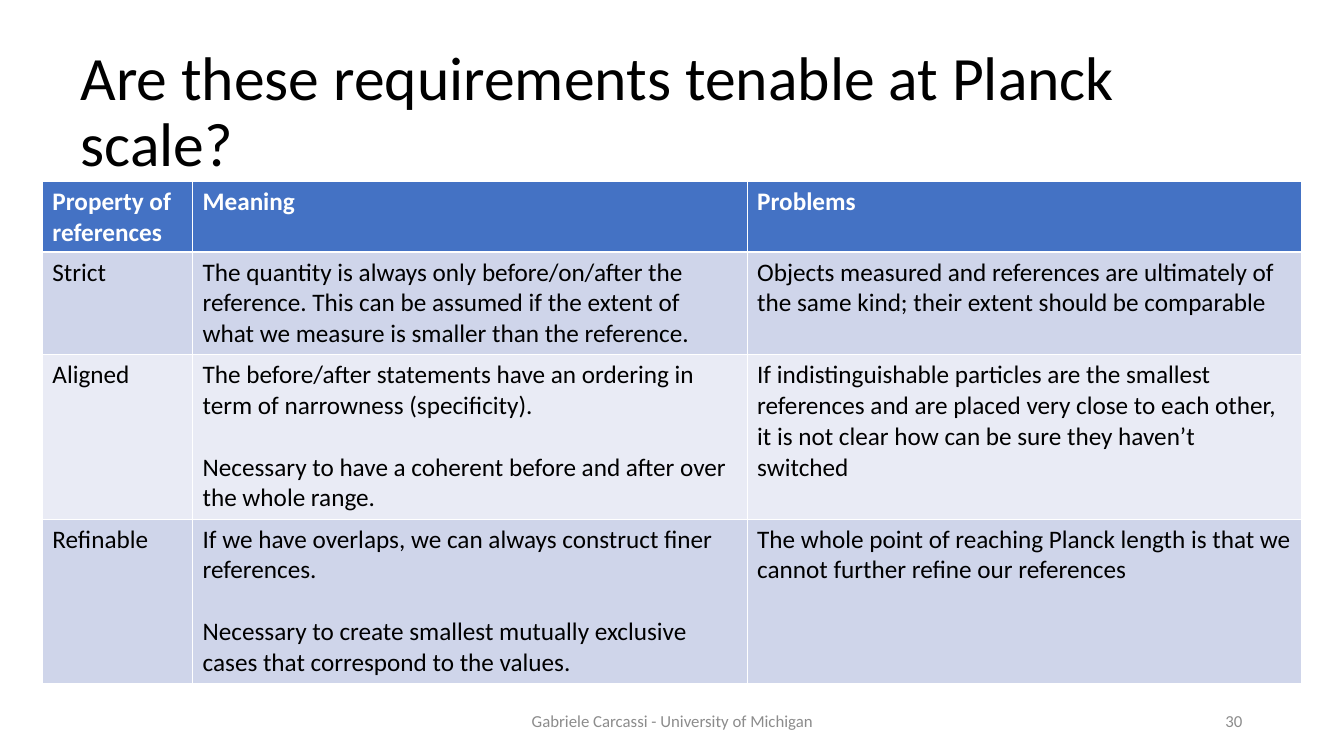
from dataclasses import dataclass

from pptx import Presentation
from pptx.dml.color import RGBColor
from pptx.enum.text import MSO_ANCHOR, PP_ALIGN
from pptx.util import Inches, Pt


@dataclass(frozen=True)
class Theme:
    font = "Calibri"
    black = RGBColor(0x00, 0x00, 0x00)
    white = RGBColor(0xFF, 0xFF, 0xFF)
    grey = RGBColor(0x8C, 0x8C, 0x8C)
    header = RGBColor(0x44, 0x72, 0xC4)
    bands = (RGBColor(0xCF, 0xD5, 0xEA), RGBColor(0xE9, 0xEB, 0xF5))
    title_size = Pt(44)
    table_size = Pt(18)
    footer_size = Pt(12)
    paragraph_gap = Pt(22)


theme = Theme()


def style_paragraph(paragraph, size, color, bold=False):
    for run in paragraph.runs:
        run.font.name = theme.font
        run.font.size = size
        run.font.color.rgb = color
        run.font.bold = bold


def add_text(slide, text, box, size, color, alignment):
    shape = slide.shapes.add_textbox(*map(Inches, box))
    text_frame = shape.text_frame
    text_frame.word_wrap = True
    text_frame.vertical_anchor = MSO_ANCHOR.MIDDLE
    text_frame.text = text
    paragraph = text_frame.paragraphs[0]
    paragraph.alignment = alignment
    style_paragraph(paragraph, size, color)
    return paragraph


presentation = Presentation()
presentation.slide_width = Inches(13.33)
presentation.slide_height = Inches(7.5)
slide = presentation.slides.add_slide(presentation.slide_layouts[6])

title = add_text(slide, "Are these requirements tenable at Planck scale?",
                 (0.7, 0.4, 12.05, 1.45), theme.title_size, theme.black, PP_ALIGN.LEFT)
title.line_spacing = 0.9

add_text(slide, "Gabriele Carcassi - University of Michigan",
         (4.42, 6.95, 4.5, 0.4), theme.footer_size, theme.grey, PP_ALIGN.CENTER)
add_text(slide, "30", (9.42, 6.95, 3, 0.4),
         theme.footer_size, theme.grey, PP_ALIGN.RIGHT)

# A line break inside a cell starts a new paragraph.
requirements = [
    ("Property of references", "Meaning", "Problems"),
    ("Strict",
     "The quantity is always only before/on/after the reference. This can be assumed "
     "if the extent of what we measure is smaller than the reference.",
     "Objects measured and references are ultimately of the same kind; "
     "their extent should be comparable"),
    ("Aligned",
     "The before/after statements have an ordering in term of narrowness (specificity).\n"
     "Necessary to have a coherent before and after over the whole range.",
     "If indistinguishable particles are the smallest references and are placed very "
     "close to each other, it is not clear how can be sure they haven’t switched"),
    ("Refinable",
     "If we have overlaps, we can always construct finer references.\n"
     "Necessary to create smallest mutually exclusive cases that correspond to the values.",
     "The whole point of reaching Planck length is that we cannot further refine "
     "our references"),
]
column_widths = (1.49, 5.5, 5.5)
row_heights = (0.7, 1.02, 1.63, 1.63)

table = slide.shapes.add_table(
    len(row_heights), len(column_widths), Inches(0.42), Inches(1.8),
    Inches(sum(column_widths)), Inches(sum(row_heights))).table
for column, width in zip(table.columns, column_widths):
    column.width = Inches(width)

for row_index, (row, height, texts) in enumerate(zip(table.rows, row_heights, requirements)):
    row.height = Inches(height)
    is_header = row_index == 0
    fill_color = theme.header if is_header else theme.bands[(row_index - 1) % 2]
    text_color = theme.white if is_header else theme.black
    for cell, text in zip(row.cells, texts):
        cell.fill.solid()
        cell.fill.fore_color.rgb = fill_color
        cell.text_frame.text = text
        for paragraph_index, paragraph in enumerate(cell.text_frame.paragraphs):
            if paragraph_index > 0:
                paragraph.space_before = theme.paragraph_gap
            style_paragraph(paragraph, theme.table_size, text_color, is_header)

presentation.save("out.pptx")
